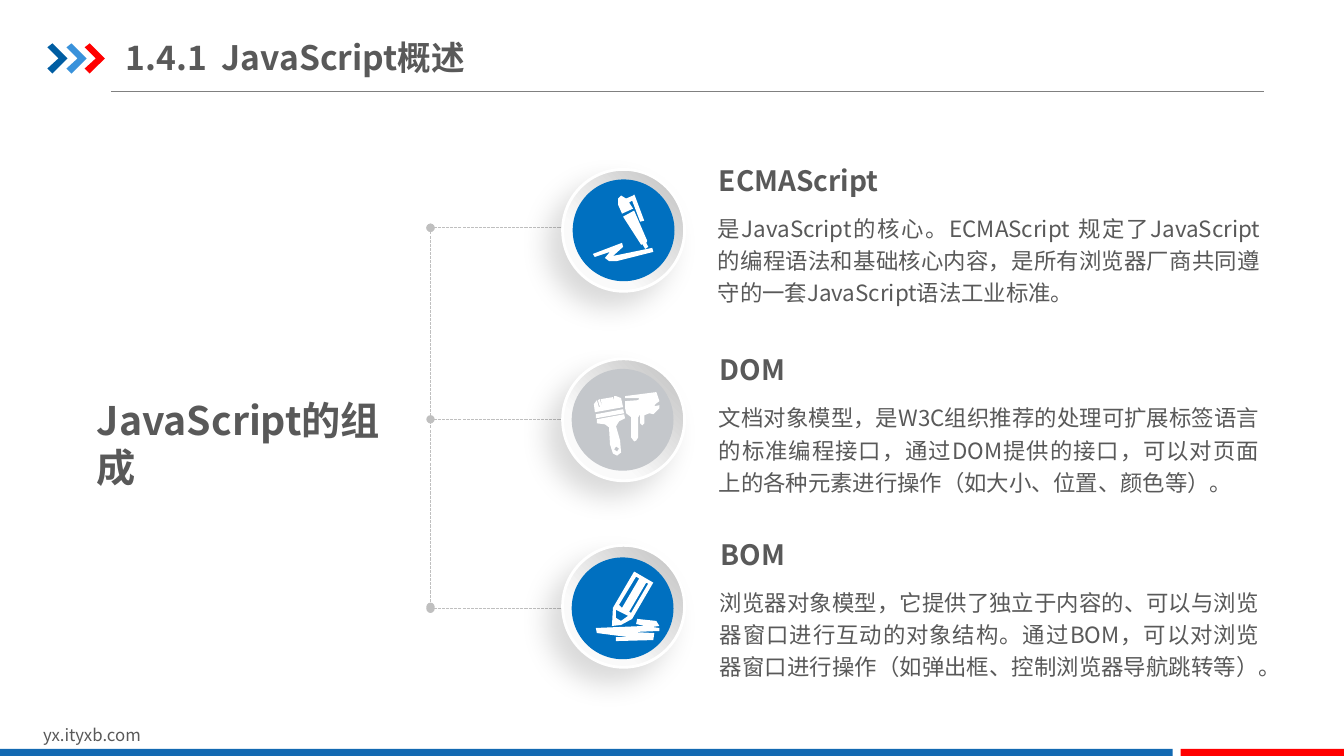
from dataclasses import dataclass

from lxml import etree
from pptx import Presentation
from pptx import util as u
from pptx.dml.color import RGBColor
from pptx.enum import dml, shapes, text
from pptx.oxml.ns import qn

PX = u.Inches(0.01)


@dataclass(frozen=True)
class Theme:
    font: str = "Noto Sans CJK SC"
    ink: str = "595959"
    white: str = "FFFFFF"
    black: str = "000000"
    rule: str = "808080"
    branch: str = "BFBFBF"
    ring_dark: str = "BFBFBF"
    ring_light: str = "FAFAFA"
    blue: str = "0070C0"
    grey: str = "C4C7CB"
    footer_blue: str = "1369B2"
    red: str = "FF0000"
    chevrons: tuple = ("005DA2", "3992DB", "FF0000")
    heading: int = 24
    topic: int = 28
    name: int = 20
    body: int = 16
    small: int = 12


THEME = Theme()


@dataclass(frozen=True)
class Part:
    name: str
    body: str
    color: str
    icon: list
    icon_at: tuple   # from the ring's corner
    disc_at: tuple   # from the ring's corner
    text_at: tuple   # from the ring's corner
    body_width: int
    top: int
    branch_y: int


CHEVRON = [[(0, 4), (5, 0), (20, 15), (5, 30), (0, 25), (11, 15)]]
PEN = [
    [(30, 23), (41, 17), (54, 47), (53, 49), (55, 53), (52, 55), (49, 50), (48, 51)],
    [(0, 60), (2, 63), (17, 58), (12, 64), (16, 67), (24, 67), (60, 58), (59, 54), (20, 62),
     (30, 53), (29, 49)],
    [(33, 5), (28, 2), (25, 5), (25, 11), (29, 20), (40, 15), (36, 9), (39, 7), (47, 28),
     (51, 27), (42, 3), (41, 1), (40, 2)],
]
BRUSHES = [
    [(51, 23), (51, 31), (49, 33), (47, 31), (47, 22), (45, 25), (45, 45), (43, 48), (41, 49),
     (38, 45), (38, 25), (33, 21), (32, 16), (32, 9), (45, 8), (46, 6), (32, 6), (32, 4),
     (63, 0), (66, 9), (62, 12), (61, 14), (66, 13), (66, 16), (60, 22), (56, 21)],
    [(3, 22), (30, 17), (31, 21), (3, 26)],
    [(31, 22), (4, 27), (4, 31), (12, 32), (16, 35), (17, 52), (20, 61), (24, 63), (28, 60),
     (27, 48), (23, 34), (26, 29), (32, 26)],
    [(23, 54), (26, 56), (24, 59), (21, 57)],
    [(30, 15), (28, 6), (23, 4), (21, 4), (21, 8), (20, 5), (8, 7), (9, 15), (7, 7), (5, 8),
     (7, 15), (6, 15), (4, 8), (1, 12), (2, 20)],
]
PENCIL = [
    [(38, 0), (57, 11), (36, 47), (25, 53), (16, 54), (17, 36)],
    [(57, 68), (58, 61), (37, 60), (63, 59), (63, 56), (56, 55), (63, 54), (60, 49), (41, 47),
     (40, 52), (48, 54), (0, 56), (1, 61), (32, 65), (20, 65), (20, 69)],
    [(25, 49), (32, 44), (20, 38), (20, 46)],
    [(50, 11), (33, 40), (35, 41), (52, 12)],
    [(40, 5), (23, 33), (26, 36), (43, 7)],
]

PARTS = [
    Part("ECMAScript", "是JavaScript的核心。ECMAScript 规定了JavaScript的编程语法和基础核心内容，"
         "是所有浏览器厂商共同遵守的一套JavaScript语法工业标准。",
         THEME.blue, PEN, (30, 24), (10, 10), (154, -6), 538, 168, 226),
    Part("DOM", "文档对象模型，是W3C组织推荐的处理可扩展标签语言的标准编程接口，"
         "通过DOM提供的接口，可以对页面上的各种元素进行操作（如大小、位置、颜色等）。",
         THEME.grey, BRUSHES, (30, 33), (9, 10), (155, -6), 536, 356, 416),
    Part("BOM", "浏览器对象模型，它提供了独立于内容的、可以与浏览器窗口进行互动的对象结构。"
         "通过BOM，可以对浏览器窗口进行操作（如弹出框、控制浏览器导航跳转等）。",
         THEME.blue, PENCIL, (33, 26), (9, 12), (156, -8), 535, 541, 604),
]


def rgb(color):
    return RGBColor.from_string(color)


def add_preset(page, kind, box, color):
    shape = page.shapes.add_shape(kind, *(n * PX for n in box))
    shape.shadow.inherit = False
    shape.fill.solid()
    shape.fill.fore_color.rgb = rgb(color)
    shape.line.fill.background()
    return shape


def add_outline(page, contours, left, top, color):
    """Draw closed contours, given from the corner (left, top), as one shape."""
    builder = page.shapes.build_freeform(*contours[0][0], scale=PX)
    for contour in contours:
        if contour is not contours[0]:
            builder.move_to(*contour[0])
        builder.add_line_segments(contour[1:], close=True)
    shape = builder.convert_to_shape(left * PX, top * PX)
    shape.shadow.inherit = False
    shape.fill.solid()
    shape.fill.fore_color.rgb = rgb(color)
    shape.line.fill.background()


def add_line(page, start, end, color, dotted=False):
    """Draw a thin line; a dotted one is dashed with a round dot at each end."""
    line = page.shapes.add_connector(
        shapes.MSO_CONNECTOR.STRAIGHT, *(n * PX for n in start + end))
    line.line.color.rgb = rgb(color)
    line.line.width = u.Pt(0.75)
    if dotted:
        line.line.dash_style = dml.MSO_LINE.SQUARE_DOT
        for tag in ("a:headEnd", "a:tailEnd"):
            etree.SubElement(line.line._get_or_add_ln(), qn(tag), type="oval")
    etree.SubElement(line._element.spPr, qn("a:effectLst"))


def add_text(page, box, words, size, bold=False, inset=(0, 0), tab=None):
    shape = page.shapes.add_textbox(*(n * PX for n in box))
    frame = shape.text_frame
    frame.word_wrap = True
    frame.margin_left = frame.margin_right = inset[0] * PX
    frame.margin_top = frame.margin_bottom = inset[1] * PX
    para = frame.paragraphs[0]
    if tab:
        stops = etree.SubElement(para._p.get_or_add_pPr(), qn("a:tabLst"))
        etree.SubElement(stops, qn("a:tab"), pos=str(tab * PX), algn="l")
    span = para.add_run()
    span.text = words
    span.font.size = u.Pt(size)
    span.font.bold = bold
    span.font.color.rgb = rgb(THEME.ink)
    span.font.name = THEME.font
    etree.SubElement(span._r.get_or_add_rPr(), qn("a:ea"), typeface=THEME.font)
    return frame


def add_ring(page, left, top):
    """Draw the shaded ring with a soft shadow to the lower left."""
    ring = add_preset(page, shapes.MSO_SHAPE.OVAL, (left, top, 121, 121), THEME.white)
    ring.fill.gradient()
    ring.fill.gradient_angle = 225
    stops = zip(ring.fill.gradient_stops, (THEME.ring_dark, THEME.ring_light), (0, 0.7))
    for stop, color, position in stops:
        stop.color.rgb = rgb(color)
        stop.position = position
    ring.line.color.rgb = rgb(THEME.white)
    ring.line.width = u.Pt(2)
    shadow = etree.SubElement(
        ring._element.spPr.find(qn("a:effectLst")), qn("a:outerShdw"), blurRad=str(u.Pt(20)),
        dist=str(u.Pt(15)), dir="8100000", algn="tr", rotWithShape="0")
    tint = etree.SubElement(shadow, qn("a:srgbClr"), val=THEME.black)
    etree.SubElement(tint, qn("a:alpha"), val="15000")


def add_header(page, left, top):
    add_line(page, (left + 63, top + 48), (left + 1207, top + 48), THEME.rule)
    for offset, color in zip((0, 19, 37), THEME.chevrons):
        add_outline(page, CHEVRON, left + offset, top, color)
    heading = add_text(page, (left + 78, top - 14, 426, 55), "1.4.1\tJavaScript概述",
                       THEME.heading, bold=True, tab=95)
    heading.vertical_anchor = text.MSO_ANCHOR.MIDDLE


def add_footer(page, top):
    add_text(page, (33, top - 29, 318, 30), "yx.ityxb.com", THEME.small, inset=(10, 5))
    for left, width, color in ((0, 1163, THEME.footer_blue), (1171, 163, THEME.red)):
        add_preset(page, shapes.MSO_SHAPE.RECTANGLE, (left, top, width, 9), color)


def add_branches(page, trunk, tip):
    for part in PARTS:
        add_line(page, (tip, part.branch_y), (trunk, part.branch_y), THEME.branch, dotted=True)
    ends = PARTS[0].branch_y, PARTS[-1].branch_y - 2
    add_line(page, (trunk, ends[0]), (trunk, ends[1]), THEME.branch, dotted=True)


def add_part(page, part, left):
    top = part.top
    add_ring(page, left, top)
    disc = (left + part.disc_at[0], top + part.disc_at[1], 101, 101)
    add_preset(page, shapes.MSO_SHAPE.OVAL, disc, part.color)
    add_outline(page, part.icon, left + part.icon_at[0], top + part.icon_at[1], THEME.white)
    text_left, text_top = left + part.text_at[0], top + part.text_at[1]
    add_text(page, (text_left + 1, text_top, 217, 36), part.name, THEME.name, bold=True)
    body = add_text(page, (text_left, text_top + 46, part.body_width, 97), part.body, THEME.body)
    body.paragraphs[0].alignment = text.PP_ALIGN.JUSTIFY
    body.paragraphs[0].line_spacing = 1.2


def main():
    deck = Presentation()
    deck.slide_width, deck.slide_height = 1333 * PX, 750 * PX
    page = deck.slides.add_slide(deck.slide_layouts[6])
    add_header(page, 47, 43)
    add_footer(page, 743)
    add_branches(page, 427, 621)
    for part in PARTS:
        add_part(page, part, 558)
    add_text(page, (96, 393, 318, 36), "JavaScript的组成", THEME.topic, bold=True)
    deck.save("out.pptx")


if __name__ == "__main__":
    main()
